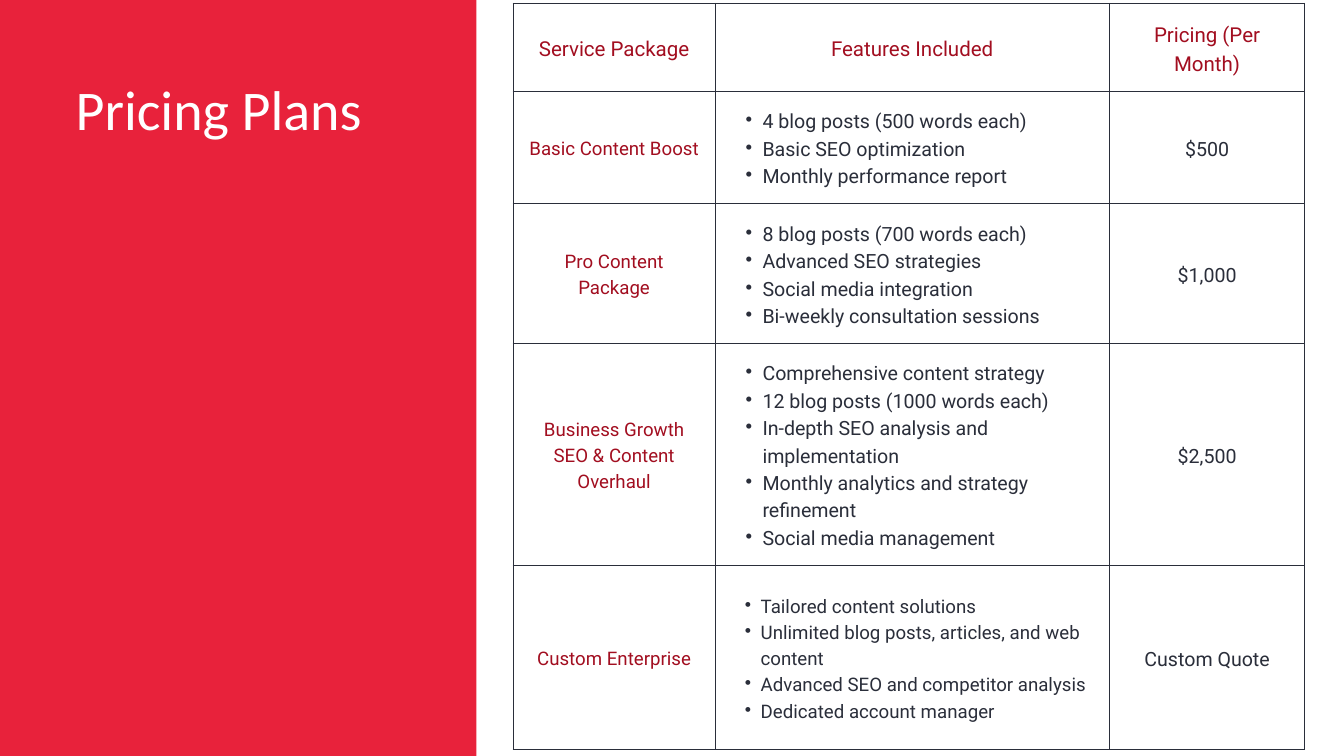
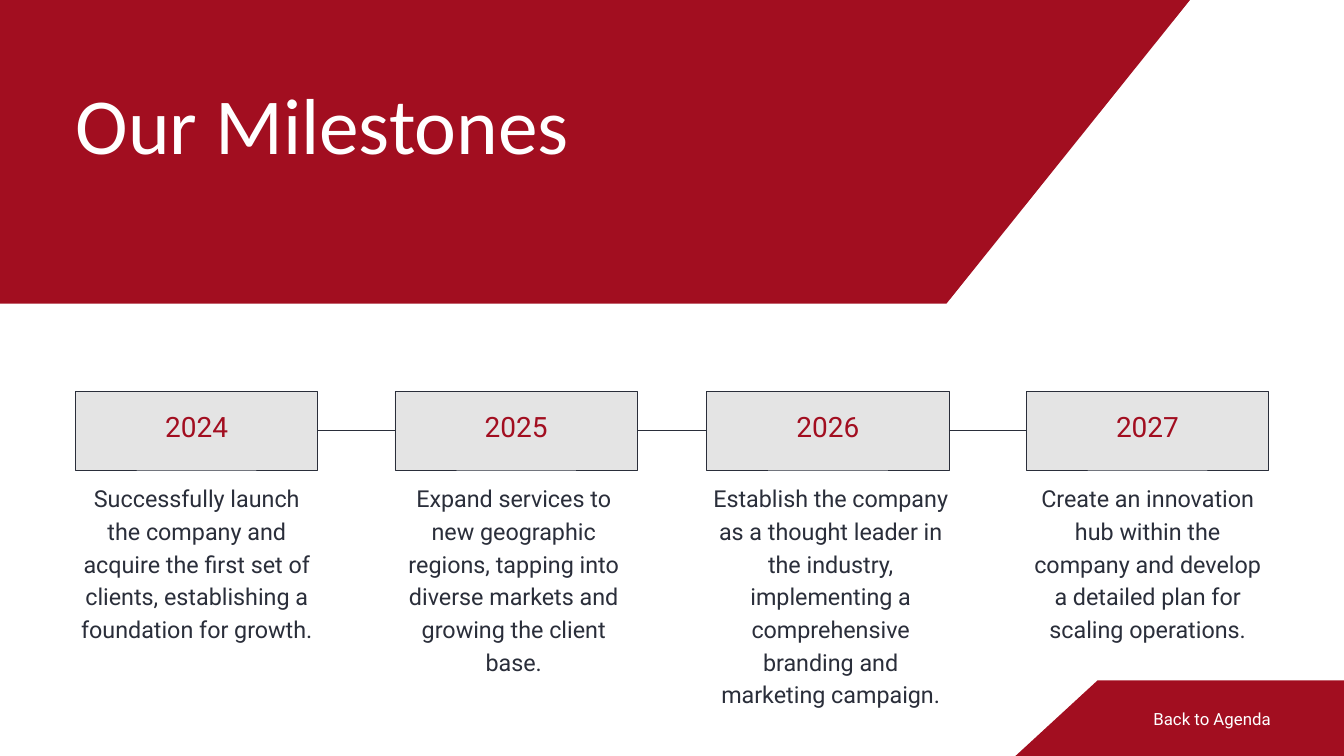
"""Build the pricing table slide and the milestone timeline slide."""
from dataclasses import dataclass, replace

import lxml.etree
import pptx
import pptx.dml.color
import pptx.enum.shapes
import pptx.enum.text
import pptx.oxml.ns
import pptx.shapes.autoshape
import pptx.slide
import pptx.table
import pptx.text.text
import pptx.util

Pt = pptx.util.Pt
RGBColor = pptx.dml.color.RGBColor
Align = pptx.enum.text.PP_ALIGN
Anchor = pptx.enum.text.MSO_ANCHOR
AutoSize = pptx.enum.text.MSO_AUTO_SIZE
qn = pptx.oxml.ns.qn

BRIGHT_RED = RGBColor(0xE8, 0x22, 0x3B)
DEEP_RED = RGBColor(0xA2, 0x0E, 0x20)
INK = RGBColor(0x2A, 0x2E, 0x3A)
WHITE = RGBColor(0xFF, 0xFF, 0xFF)
GRAY = RGBColor(0xE4, 0xE4, 0xE4)

SLIDE_WIDTH, SLIDE_HEIGHT = 1440, 810
MARGIN = 81
THIN, THICK = 0.75, 1.5


@dataclass(frozen=True)
class TextStyle:
    size: float
    leading: float
    color: RGBColor
    align: Align = Align.CENTER
    font: str = "Roboto"
    indent: float = 0
    hanging: float = 0


@dataclass(frozen=True)
class Frame:
    left: float
    top: float
    width: float
    height: float

    def lengths(self) -> tuple[int, ...]:
        return tuple(Pt(value) for value in (self.left, self.top, self.width, self.height))


@dataclass(frozen=True)
class Plan:
    name: str
    features: tuple[str, ...]
    price: str
    height: float
    feature_style: TextStyle


@dataclass(frozen=True)
class Milestone:
    year: str
    left: float
    goal: str
    goal_height: float


PLAN_TITLE = TextStyle(60, 72, WHITE, Align.LEFT, "Calibri")
MILESTONE_TITLE = replace(PLAN_TITLE, size=85, leading=102)
HEADER = TextStyle(22, 30.8, DEEP_RED)
PLAN_NAME = TextStyle(20, 28, DEEP_RED)
PRICE = TextStyle(21, 29.4, INK)
FEATURE = replace(PRICE, align=Align.LEFT, indent=36, hanging=18)
SMALL_FEATURE = replace(FEATURE, size=20, leading=28, indent=34, hanging=17)
YEAR = TextStyle(30, 42, DEEP_RED)
GOAL = TextStyle(25, 35, INK)
BACK_LABEL = TextStyle(18, 23.4, WHITE, Align.RIGHT)

TABLE_LEFT, TABLE_TOP = 550, 3.6
COLUMN_WIDTHS = (216, 422.6, 209.5)
LEFT_BORDERS = (THICK, THIN, THICK)
RIGHT_BORDERS = (THIN, THICK, THICK)
HEADER_HEIGHT = 94.3
CELL_INSET = 15
HEADERS = ("Service Package", "Features Included", "Pricing (Per Month)")
PLANS = (
    Plan("Basic Content Boost",
         ("4 blog posts (500 words each)", "Basic SEO optimization",
          "Monthly performance report"),
         "$500", 120.2, FEATURE),
    Plan("Pro Content Package",
         ("8 blog posts (700 words each)", "Advanced SEO strategies",
          "Social media integration", "Bi-weekly consultation sessions"),
         "$1,000", 149.8, FEATURE),
    Plan("Business Growth SEO & Content Overhaul",
         ("Comprehensive content strategy", "12 blog posts (1000 words each)",
          "In-depth SEO analysis and implementation",
          "Monthly analytics and strategy refinement", "Social media management"),
         "$2,500", 237.4, FEATURE),
    Plan("Custom Enterprise",
         ("Tailored content solutions",
          "Unlimited blog posts, articles, and web content",
          "Advanced SEO and competitor analysis", "Dedicated account manager"),
         "Custom Quote", 198, SMALL_FEATURE),
)

YEAR_TOP, YEAR_WIDTH, YEAR_HEIGHT = 419, 259.5, 84.6
YEAR_LIFT = 16
GOAL_TOP, GOAL_STEP = 514, 339.6
MILESTONES = (
    Milestone("2024", 81, "Successfully launch the company and acquire the first set of "
              "clients, establishing a foundation for growth.", 171.5),
    Milestone("2025", 423.2, "Expand services to new geographic regions, tapping into "
              "diverse markets and growing the client base.", 206),
    Milestone("2026", 757.2, "Establish the company as a thought leader in the industry, "
              "implementing a comprehensive branding and marketing campaign.", 240.5),
    Milestone("2027", 1099.7, "Create an innovation hub within the company and develop "
              "a detailed plan for scaling operations.", 171.5),
)


def set_insets(frame: pptx.text.text.TextFrame, inset: float) -> None:
    frame.margin_left = frame.margin_top = Pt(inset)
    frame.margin_right = frame.margin_bottom = Pt(inset)
    frame.word_wrap = True


def write_lines(frame: pptx.text.text.TextFrame, lines: tuple[str, ...],
                style: TextStyle) -> None:
    for index, line in enumerate(lines):
        para = frame.add_paragraph() if index else frame.paragraphs[0]
        if style.indent:
            properties = para._p.get_or_add_pPr()
            properties.set("marL", str(Pt(style.indent)))
            properties.set("indent", str(-Pt(style.hanging)))
            lxml.etree.SubElement(properties, qn("a:buChar")).set("char", "•")
        para.alignment = style.align
        para.line_spacing = Pt(style.leading)
        para.space_before = para.space_after = Pt(0)
        span = para.add_run()
        span.text = line
        span.font.name = style.font
        span.font.size = Pt(style.size)
        span.font.bold = False
        span.font.color.rgb = style.color


def add_title(page: pptx.slide.Slide, text: str, frame: Frame, style: TextStyle) -> None:
    title = page.shapes.title
    title.left, title.top, title.width, title.height = frame.lengths()
    title.element.getparent().append(title.element)
    set_insets(title.text_frame, 0)
    title.text_frame.auto_size = AutoSize.NONE
    title.text_frame.vertical_anchor = Anchor.TOP
    write_lines(title.text_frame, (text,), style)


def add_text_box(page: pptx.slide.Slide, text: str, frame: Frame, style: TextStyle) -> None:
    box = page.shapes.add_textbox(*frame.lengths())
    set_insets(box.text_frame, 0)
    box.text_frame.auto_size = AutoSize.SHAPE_TO_FIT_TEXT
    write_lines(box.text_frame, (text,), style)


def add_rectangle(page: pptx.slide.Slide, frame: Frame,
                  color: RGBColor) -> pptx.shapes.autoshape.Shape:
    box = page.shapes.add_shape(pptx.enum.shapes.MSO_SHAPE.RECTANGLE, *frame.lengths())
    box.shadow.inherit = False
    box.fill.solid()
    box.fill.fore_color.rgb = color
    box.line.fill.background()
    return box


def add_band(page: pptx.slide.Slide, corners: tuple[tuple[float, float], ...]) -> None:
    start, *others = [(Pt(x), Pt(y)) for x, y in corners]
    builder = page.shapes.build_freeform(*start)
    builder.add_line_segments(others, close=True)
    band = builder.convert_to_shape()
    band.shadow.inherit = False
    band.fill.solid()
    band.fill.fore_color.rgb = DEEP_RED
    band.line.fill.background()


def add_connector(page: pptx.slide.Slide, start: float, end: float, height: float) -> None:
    connector = page.shapes.add_connector(
        pptx.enum.shapes.MSO_CONNECTOR.STRAIGHT, Pt(start), Pt(height), Pt(end), Pt(height))
    connector.line.color.rgb = INK
    connector.line.width = Pt(THIN)
    lxml.etree.SubElement(connector.element.spPr, qn("a:effectLst"))


def format_cell(cell: pptx.table._Cell, row: int, column: int) -> None:
    borders = {"L": LEFT_BORDERS[column], "R": RIGHT_BORDERS[column],
               "T": THIN if row else THICK, "B": THIN}
    properties = cell._tc.get_or_add_tcPr()
    for side, width in borders.items():
        line = lxml.etree.SubElement(properties, qn(f"a:ln{side}"), w=str(Pt(width)))
        fill = lxml.etree.SubElement(line, qn("a:solidFill"))
        lxml.etree.SubElement(fill, qn("a:srgbClr"), val=str(INK))
    cell.fill.background()
    cell.vertical_anchor = Anchor.MIDDLE
    cell.margin_left = cell.margin_right = Pt(CELL_INSET)
    cell.margin_top = cell.margin_bottom = Pt(CELL_INSET)


def add_pricing_table(page: pptx.slide.Slide) -> None:
    heights = (HEADER_HEIGHT, *(plan.height for plan in PLANS))
    frame = Frame(TABLE_LEFT, TABLE_TOP, sum(COLUMN_WIDTHS), sum(heights))
    table = page.shapes.add_table(len(heights), len(COLUMN_WIDTHS), *frame.lengths()).table
    table.first_row = table.horz_banding = False
    for column, width in zip(table.columns, COLUMN_WIDTHS):
        column.width = Pt(width)
    rows = [[((header,), HEADER) for header in HEADERS]]
    rows += [[((plan.name,), PLAN_NAME), (plan.features, plan.feature_style),
              ((plan.price,), PRICE)] for plan in PLANS]
    for row, (entries, height) in enumerate(zip(rows, heights)):
        table.rows[row].height = Pt(height)
        for column, (lines, style) in enumerate(entries):
            cell = table.cell(row, column)
            format_cell(cell, row, column)
            write_lines(cell.text_frame, lines, style)


def add_year(page: pptx.slide.Slide, milestone: Milestone) -> None:
    box = add_rectangle(page, Frame(milestone.left, YEAR_TOP, YEAR_WIDTH, YEAR_HEIGHT), GRAY)
    box.line.color.rgb = INK
    box.line.width = Pt(THIN)
    set_insets(box.text_frame, 4)
    box.text_frame.margin_bottom = Pt(4 + YEAR_LIFT)
    box.text_frame.vertical_anchor = Anchor.MIDDLE
    write_lines(box.text_frame, (milestone.year,), YEAR)


def build_pricing(page: pptx.slide.Slide) -> None:
    add_rectangle(page, Frame(0, 0, 510.5, SLIDE_HEIGHT), BRIGHT_RED)
    add_title(page, "Pricing Plans", Frame(MARGIN, 80, 365, 144.7), PLAN_TITLE)
    add_pricing_table(page)


def build_milestones(page: pptx.slide.Slide) -> None:
    add_band(page, ((0, 0), (1275, 0), (1014, 325.4), (0, 325.4)))
    add_title(page, "Our Milestones", Frame(MARGIN, 81, 944, 101.5), MILESTONE_TITLE)
    for milestone in MILESTONES:
        add_year(page, milestone)
    for before, after in zip(MILESTONES, MILESTONES[1:]):
        add_connector(page, before.left + YEAR_WIDTH, after.left, YEAR_TOP + YEAR_HEIGHT / 2)
    for index, milestone in enumerate(MILESTONES):
        frame = Frame(MARGIN + index * GOAL_STEP, GOAL_TOP, YEAR_WIDTH, milestone.goal_height)
        add_text_box(page, milestone.goal, frame, GOAL)
    add_band(page, ((1176, 729), (SLIDE_WIDTH, 729), (SLIDE_WIDTH, SLIDE_HEIGHT),
                    (1088, SLIDE_HEIGHT)))
    add_text_box(page, "Back to Agenda", Frame(1202.5, 757.5, 159, 23.4), BACK_LABEL)


def main() -> None:
    deck = pptx.Presentation()
    deck.slide_width, deck.slide_height = Pt(SLIDE_WIDTH), Pt(SLIDE_HEIGHT)
    title_only = deck.slide_layouts.get_by_name("Title Only")
    for build in (build_pricing, build_milestones):
        build(deck.slides.add_slide(title_only))
    deck.save("out.pptx")


if __name__ == "__main__":
    main()
